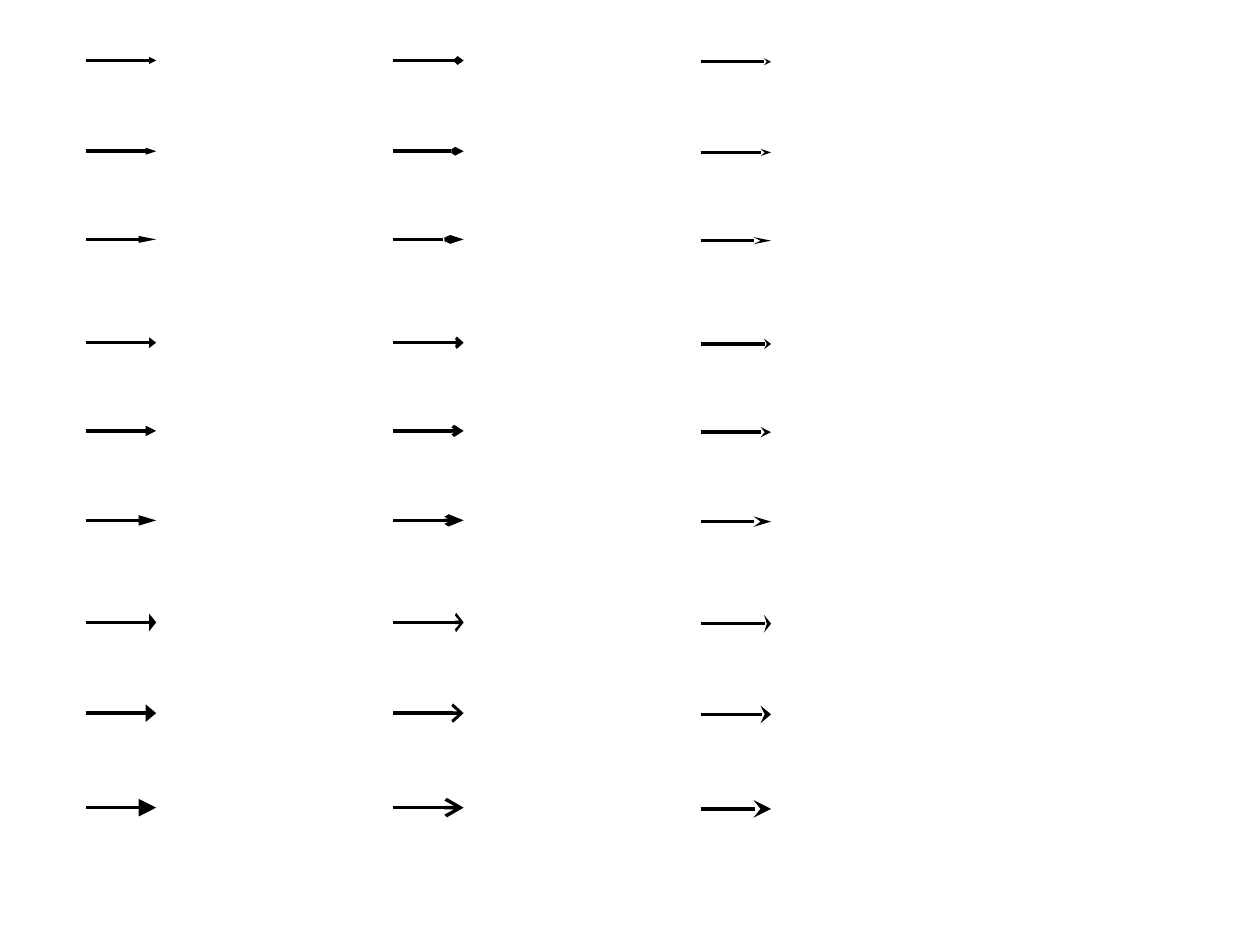
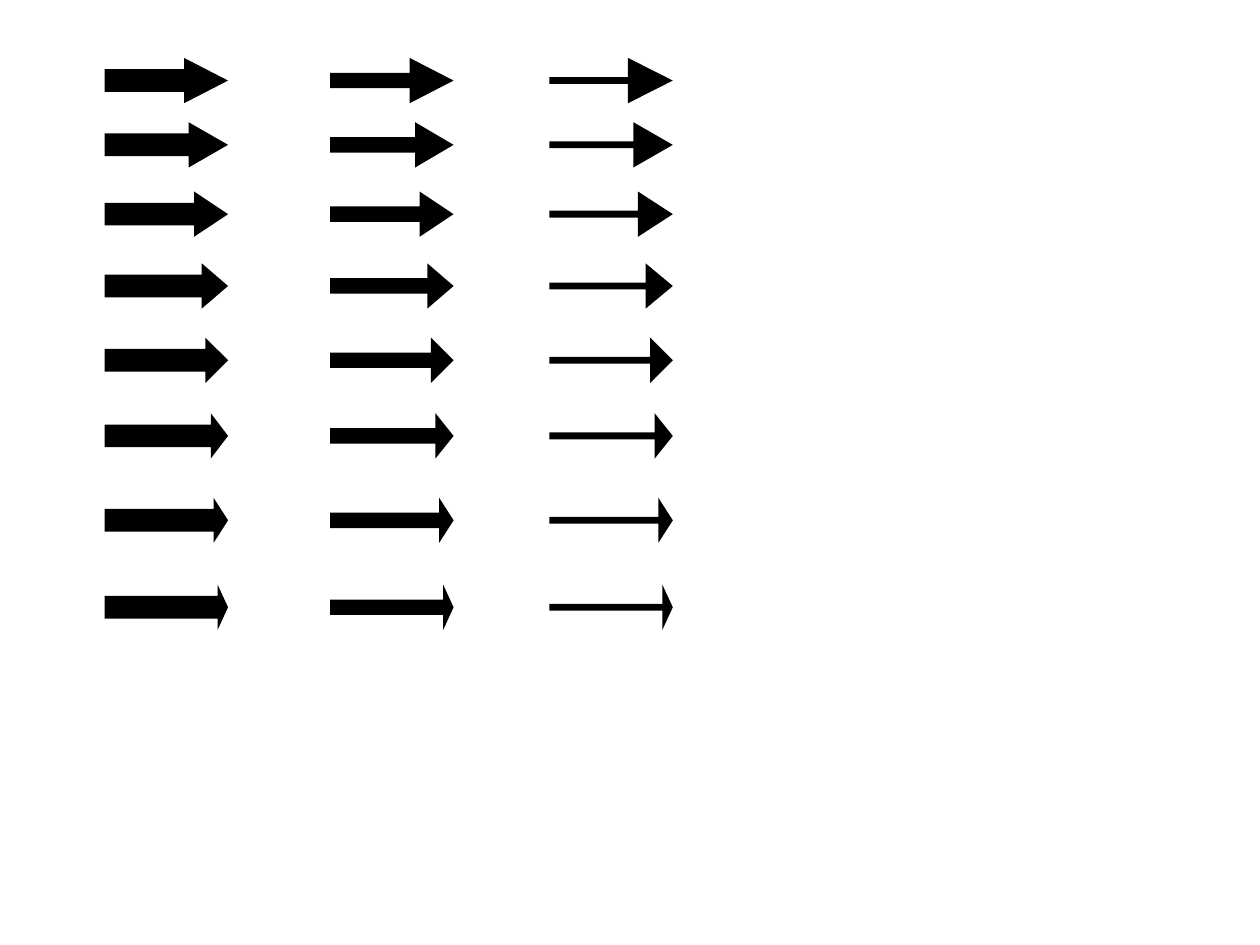
from itertools import product

from pptx import Presentation
from pptx.dml.color import RGBColor
from pptx.enum.shapes import MSO_CONNECTOR, MSO_SHAPE
from pptx.oxml.ns import qn
from pptx.util import Inches, Pt
from lxml import etree

STRAIGHT = MSO_CONNECTOR.STRAIGHT
RIGHT_ARROW = MSO_SHAPE.RIGHT_ARROW
INK = RGBColor(0x00, 0x00, 0x00)
BLANK_LAYOUT = 6

HEAD_STYLES = ("triangle", "arrow", "stealth")
HEAD_SIZES = ("sm", "med", "lg")
LINE_LEFT, LINE_PITCH, LINE_LENGTH = 0.68, 2.44, 0.56
LINE_ROWS = (0.48, 1.2, 1.9, 2.72, 3.42, 4.13, 4.94, 5.66, 6.41)
STEALTH_DROP = 0.01

BLOCK_WIDTH, BLOCK_HEIGHT = 0.98, 0.36
BLOCK_ROWS = (0.46, 0.97, 1.52, 2.09, 2.68, 3.28, 3.95, 4.64)
BLOCK_COLUMNS = (
    (0.83, 0.5, (0.97, 0.87, 0.75, 0.58, 0.5, 0.38, 0.32, 0.23)),
    (2.62, 0.34, (0.97, 0.85, 0.75, 0.58, 0.5, 0.4, 0.32, 0.23)),
    (4.36, 0.15, (0.99, 0.87, 0.77, 0.6, 0.5, 0.4, 0.32, 0.23)),
)


def add_line_arrow(slide, left, y, head_style, head_width, head_length):
    """Draw a horizontal line with an arrowhead at its right end."""
    arrow = slide.shapes.add_connector(
        STRAIGHT, Inches(left), Inches(y), Inches(left + LINE_LENGTH), Inches(y))
    arrow.line.width = Pt(2)
    arrow.line.color.rgb = INK
    properties = arrow._element.spPr
    etree.SubElement(properties.find(qn("a:ln")), qn("a:tailEnd"),
                     type=head_style, w=head_width, len=head_length)
    etree.SubElement(properties, qn("a:effectLst"))


def add_block_arrow(slide, left, top, shaft, head):
    """Draw a solid arrow with the given shaft thickness and head length."""
    arrow = slide.shapes.add_shape(
        RIGHT_ARROW, Inches(left), Inches(top), Inches(BLOCK_WIDTH), Inches(BLOCK_HEIGHT))
    arrow.adjustments[0] = shaft
    arrow.adjustments[1] = head
    arrow.fill.solid()
    arrow.fill.fore_color.rgb = INK
    arrow.line.fill.background()
    arrow.shadow.inherit = False


def build_line_arrows(slide):
    """Show every head width and length, one column per head style."""
    for column, style in enumerate(HEAD_STYLES):
        left = LINE_LEFT + column * LINE_PITCH
        drop = STEALTH_DROP if style == "stealth" else 0
        for y, (width, length) in zip(LINE_ROWS, product(HEAD_SIZES, repeat=2)):
            add_line_arrow(slide, left, y + drop, style, width, length)


def build_block_arrows(slide):
    """Show shrinking heads down each column, one shaft thickness per column."""
    for left, shaft, heads in BLOCK_COLUMNS:
        for top, head in zip(BLOCK_ROWS, heads):
            add_block_arrow(slide, left, top, shaft, head)


def main():
    """Build both slides and save the presentation."""
    presentation = Presentation()
    presentation.slide_width = Inches(10)
    presentation.slide_height = Inches(7.5)
    for build in (build_line_arrows, build_block_arrows):
        build(presentation.slides.add_slide(presentation.slide_layouts[BLANK_LAYOUT]))
    presentation.save("out.pptx")


if __name__ == "__main__":
    main()
